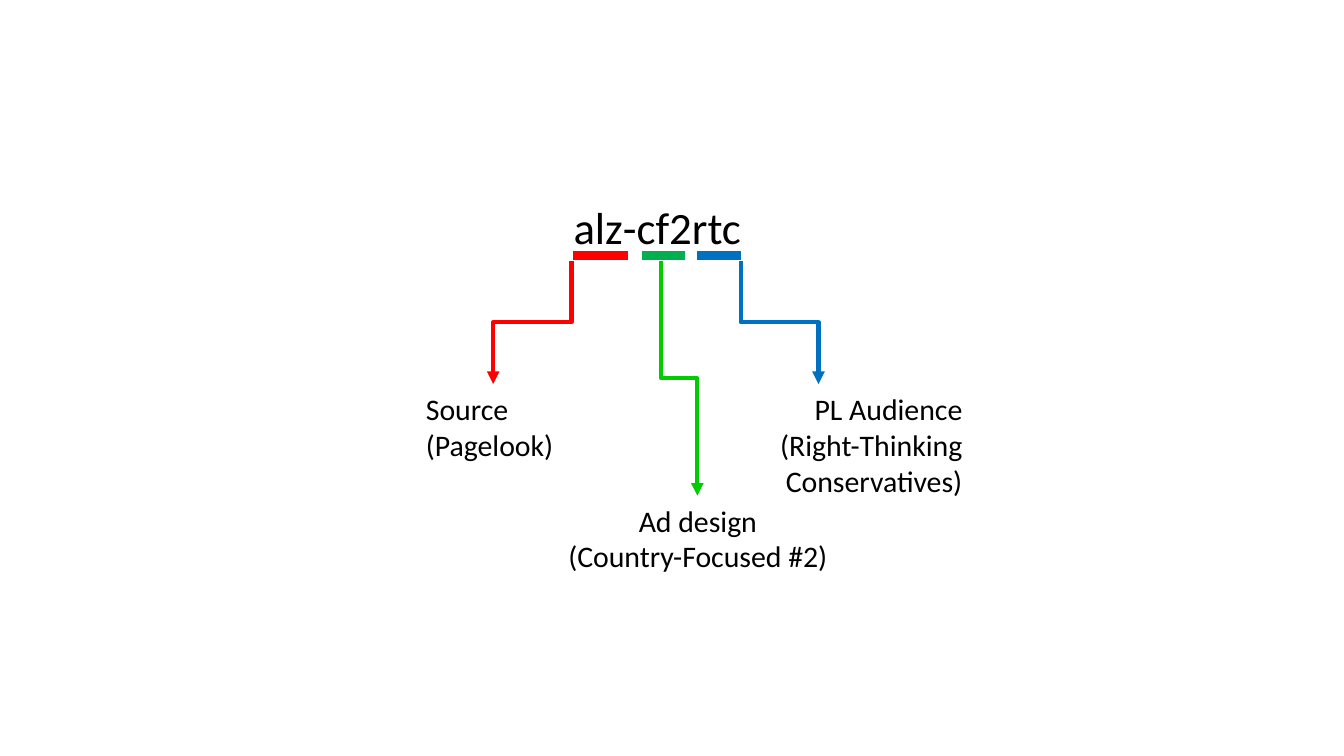
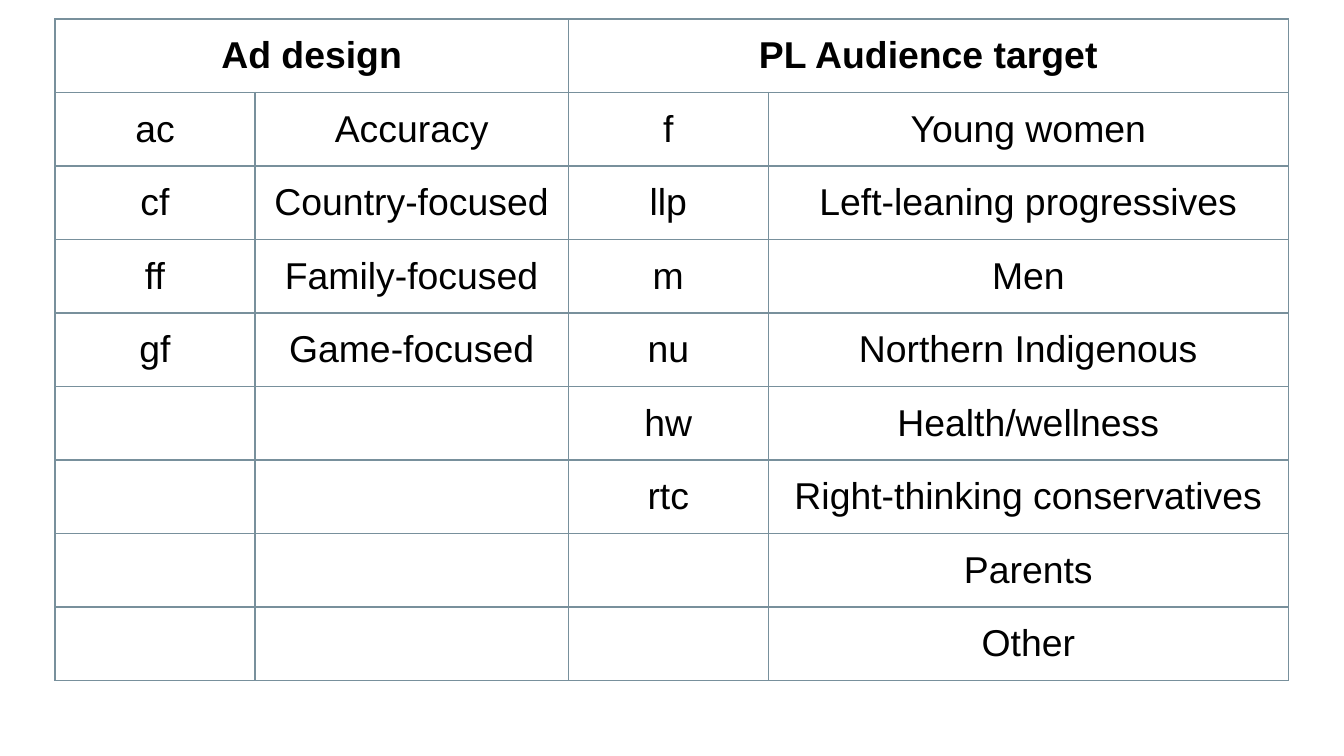
"""Build two slides: how an ad code is read, and the table of its parts."""
from dataclasses import dataclass

from lxml import etree
from pptx import Presentation
from pptx import util as u
from pptx.dml.color import RGBColor
from pptx.enum import shapes, text
from pptx.oxml.ns import qn

HUES = {
    "ink": "000000",
    "red": "FF0000",
    "green": "00B050",
    "lime": "00CC00",
    "blue": "0070C0",
    "grid": "78909C",
}
LEFT, MID, RIGHT = text.PP_ALIGN.LEFT, text.PP_ALIGN.CENTER, text.PP_ALIGN.RIGHT
BAR_Y = 4.83
DROP_Y = 4.93


@dataclass
class Label:
    words: str
    left: float
    top: float
    width: float
    height: float
    align: text.PP_ALIGN = LEFT
    size: int = 16


@dataclass
class Bar:
    start: float
    end: float
    hue: str


@dataclass
class Arrow:
    start: float
    end: float
    foot: float
    hue: str


LABELS = [
    Label("alz-cf2rtc", 10.59, 3.66, 3.78, 1.27, size=24),
    Label("Source\n(Pagelook)", 7.8, 7.26, 3.23, 1.63),
    Label("PL Audience\n(Right-Thinking Conservatives)", 14.12, 7.26, 4.32, 2.31, RIGHT),
    Label("Ad design\n(Country-Focused #2)", 10.46, 9.37, 5.46, 1.63, MID),
]
BARS = [
    Bar(10.82, 11.86, "red"),
    Bar(12.14, 12.95, "green"),
    Bar(13.18, 14.0, "blue"),
]
ARROWS = [
    Arrow(10.8, 9.32, 7.26, "red"),
    Arrow(14.0, 15.47, 7.26, "blue"),
    Arrow(12.5, 13.18, 9.37, "lime"),
]
COLS = [3.78, 5.92, 3.78, 9.83]
ROW = 1.39
ROWS = [
    ("Ad design", "", "PL Audience target", ""),
    ("ac", "Accuracy", "f", "Young women"),
    ("cf", "Country-focused", "llp", "Left-leaning progressives"),
    ("ff", "Family-focused", "m", "Men"),
    ("gf", "Game-focused", "nu", "Northern Indigenous"),
    ("", "", "hw", "Health/wellness"),
    ("", "", "rtc", "Right-thinking conservatives"),
    ("", "", "", "Parents"),
    ("", "", "", "Other"),
]


def tint(hue: str) -> RGBColor:
    return RGBColor.from_string(HUES[hue])


def style(frame, face: str, size: int, align: text.PP_ALIGN, bold: bool = False) -> None:
    for para in frame.paragraphs:
        para.alignment = align
        for run in para.runs:
            run.font.name = face
            run.font.size = u.Pt(size)
            run.font.bold = bold
            run.font.color.rgb = tint("ink")


def add_label(slide, label: Label) -> None:
    box = slide.shapes.add_textbox(
        u.Cm(label.left), u.Cm(label.top), u.Cm(label.width), u.Cm(label.height))
    frame = box.text_frame
    frame.word_wrap = True
    frame.auto_size = text.MSO_AUTO_SIZE.SHAPE_TO_FIT_TEXT
    frame.text = label.words
    style(frame, "Calibri", label.size, label.align)


def add_line(slide, kind, ends: tuple, hue: str, width: float):
    line = slide.shapes.add_connector(kind, *(u.Cm(end) for end in ends))
    line.line.color.rgb = tint(hue)
    line.line.width = u.Pt(width)
    etree.SubElement(line._element.spPr, qn("a:effectLst"))
    return line


def add_bar(slide, bar: Bar) -> None:
    ends = (bar.start, BAR_Y, bar.end, BAR_Y)
    add_line(slide, shapes.MSO_CONNECTOR.STRAIGHT, ends, bar.hue, 4.5)


def add_arrow(slide, arrow: Arrow) -> None:
    """Draw an elbow that leaves and lands upright, as a box turned a quarter."""
    mid_x, mid_y = (arrow.start + arrow.end) / 2, (DROP_Y + arrow.foot) / 2
    long = (arrow.foot - DROP_Y) / 2
    wide = abs(arrow.end - arrow.start) / 2
    right = arrow.end > arrow.start
    reach = long if right else -long
    ends = (mid_x + reach, mid_y - wide, mid_x - reach, mid_y + wide)
    line = add_line(slide, shapes.MSO_CONNECTOR.ELBOW, ends, arrow.hue, 2.25)
    turn = 270 if right else 90
    line._element.spPr.find(qn("a:xfrm")).set("rot", str(turn * 60000))
    etree.SubElement(line.line._get_or_add_ln(), qn("a:tailEnd"), type="triangle")


def add_edges(cell) -> None:
    props = cell._tc.get_or_add_tcPr()
    for side in "LRTB":
        edge = etree.SubElement(props, qn(f"a:ln{side}"), w=str(u.Pt(0.75)))
        fill = etree.SubElement(edge, qn("a:solidFill"))
        etree.SubElement(fill, qn("a:srgbClr"), val=HUES["grid"])


def add_grid(slide) -> None:
    table = slide.shapes.add_table(
        len(ROWS), len(COLS), u.Cm(1.04), u.Cm(0.36),
        u.Cm(sum(COLS)), u.Cm(ROW * len(ROWS))).table
    table.first_row = table.horz_banding = False
    for col, width in zip(table.columns, COLS):
        col.width = u.Cm(width)
    for y, row in enumerate(ROWS):
        table.rows[y].height = u.Cm(ROW)
        for x, words in enumerate(row):
            cell = table.cell(y, x)
            add_edges(cell)
            cell.fill.background()
            cell.vertical_anchor = text.MSO_ANCHOR.MIDDLE
            cell.margin_left = cell.margin_right = 0
            cell.margin_top = cell.margin_bottom = 0
            cell.text_frame.text = words
            style(cell.text_frame, "Arial", 20, MID, bold=y == 0)
    for x in (0, 2):
        table.cell(0, x).merge(table.cell(0, x + 1))


def main() -> None:
    deck = Presentation()
    deck.slide_width, deck.slide_height = u.Cm(25.4), u.Cm(14.29)
    blank = deck.slide_layouts[6]
    chart = deck.slides.add_slide(blank)
    for bar in BARS:
        add_bar(chart, bar)
    for arrow in ARROWS:
        add_arrow(chart, arrow)
    for label in LABELS:
        add_label(chart, label)
    add_grid(deck.slides.add_slide(blank))
    deck.save("out.pptx")


if __name__ == "__main__":
    main()
